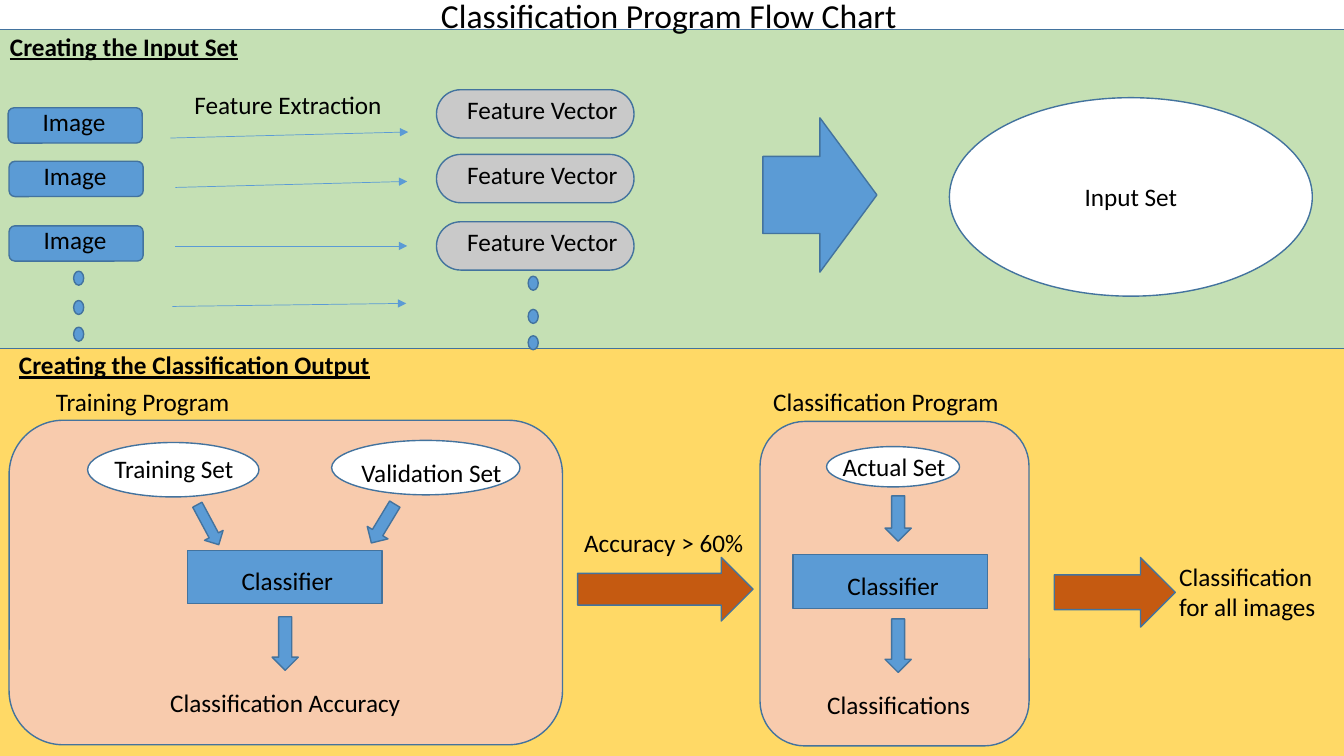
from lxml import etree
from pptx import Presentation
from pptx.dml.color import RGBColor
from pptx.enum import shapes, text
from pptx.oxml import ns
from pptx.util import Pt

COLORS = {
    "outline": "43739E", "blue": "5B9BD5", "green": "C5E0B4", "yellow": "FFD966",
    "peach": "F8CBAD", "orange": "C55A11", "gray": "C9C9C9", "white": "FFFFFF",
    "black": "000000",
}
KIND = shapes.MSO_SHAPE


def rgb(name):
    """Return the named colour."""
    return RGBColor.from_string(COLORS[name])


def add_block(slide, kind, box, fill, rotation=0, rounding=None):
    """Draw an outlined preset shape."""
    block = slide.shapes.add_shape(kind, *map(Pt, box))
    block.shadow.inherit = False
    block.fill.solid()
    block.fill.fore_color.rgb = rgb(fill)
    block.line.color.rgb = rgb("outline")
    block.line.width = Pt(1)
    block.rotation = rotation
    if rounding is not None:
        block.adjustments[0] = rounding


def add_label(slide, wording, left, top, width, height=28.8, size=18,
              centered=True, heading=False):
    """Write a wrapped label."""
    label = slide.shapes.add_textbox(*map(Pt, (left, top, width, height)))
    frame = label.text_frame
    frame.word_wrap = True
    frame.text = wording
    paragraph = frame.paragraphs[0]
    paragraph.alignment = text.PP_ALIGN.CENTER if centered else text.PP_ALIGN.LEFT
    font = paragraph.font
    font.name, font.size = "Calibri", Pt(size)
    font.color.rgb = rgb("black")
    if heading:
        font.bold = font.underline = True


def add_thin_arrow(slide, start, end):
    """Draw a thin line with a triangular head."""
    arrow = slide.shapes.add_connector(
        shapes.MSO_CONNECTOR.STRAIGHT, *map(Pt, start + end))
    arrow.line.color.rgb = rgb("blue")
    arrow.line.width = Pt(0.5)
    etree.SubElement(arrow.line._get_or_add_ln(), ns.qn("a:tailEnd"), type="triangle")
    etree.SubElement(arrow._element.spPr, ns.qn("a:effectLst"))


def add_dots(slide, left, tops):
    """Draw a column of continuation dots."""
    for top in tops:
        add_block(slide, KIND.OVAL, (left, top, 7.2, 10), "blue")


def add_classifier(slide, left, top):
    """Draw a classifier box with its label."""
    add_block(slide, KIND.RECTANGLE, (left, top, 139, 38.2), "blue")
    add_label(slide, "Classifier", left + 23.8, top + 7.5, 95)


def add_input_section(slide):
    """Draw the path from images to the input set."""
    add_label(slide, "Creating the Input Set", 0, 18.7, 203,
              centered=False, heading=True)
    for left, top in ((5.8, 77), (6.5, 115.2), (6.5, 161.3)):
        add_block(slide, KIND.ROUNDED_RECTANGLE, (left, top, 95.8, 25.2), "blue")
        add_label(slide, "Image", left + 8.6, top - 4.3, 77)
    add_label(slide, "Feature Extraction", 131.8, 60.5, 190, centered=False)
    for start, end in (((121.7, 98.6), (291.6, 94.3)),
                       ((125.3, 133.9), (290.9, 129.6)),
                       ((125.3, 175.7), (290.9, 175.7)),
                       ((123.1, 218.9), (290.2, 216.7))):
        add_thin_arrow(slide, start, end)
    for top in (64.1, 110.3, 158.4):
        add_block(slide, KIND.ROUNDED_RECTANGLE, (311.8, top, 141.1, 34.5),
                  "gray", rounding=0.5)
        add_label(slide, "Feature Vector", 322.6, top, 129.6)
    add_dots(slide, 52.6, (193.7, 214.6, 233.7))
    add_dots(slide, 377.3, (197.3, 221, 239.8))
    add_block(slide, KIND.RIGHT_ARROW, (545, 84.2, 81.4, 110.2), "blue")
    add_block(slide, KIND.OVAL, (678.2, 69.8, 259.2, 141.8), "white")
    add_label(slide, "Input Set", 730.8, 126, 154)


def add_training_program(slide):
    """Draw the training panel and its accuracy test."""
    add_label(slide, "Training Program", 18.7, 272.2, 166.3)
    add_block(slide, KIND.ROUNDED_RECTANGLE, (6.5, 300.2, 395.3, 231.8), "peach")
    add_block(slide, KIND.OVAL, (62.6, 316.1, 122.4, 38.9), "white")
    add_label(slide, "Training Set", 56.2, 320.4, 136)
    add_block(slide, KIND.OVAL, (236.9, 314.6, 134.6, 38.9), "white")
    add_label(slide, "Validation Set", 241.2, 323.3, 134)
    add_block(slide, KIND.DOWN_ARROW, (141.1, 358.6, 15.1, 32.4), "blue", 331.8)
    add_block(slide, KIND.DOWN_ARROW, (265, 357.8, 17.3, 32.4), "blue", 31.2)
    add_classifier(slide, 133.9, 393.1)
    add_block(slide, KIND.DOWN_ARROW, (194.4, 440.6, 18.7, 38.2), "blue")
    add_label(slide, "Classification Accuracy", 104.4, 487.4, 198.7)
    add_label(slide, "Accuracy > 60%", 403.2, 373, 141.8)
    add_block(slide, KIND.RIGHT_ARROW, (412.6, 398.2, 125.3, 45.4), "orange")


def add_classification_program(slide):
    """Draw the classification panel and its result."""
    add_label(slide, "Classification Program", 534.2, 272.2, 197.3)
    add_block(slide, KIND.ROUNDED_RECTANGLE, (542.9, 301, 192.2, 231.8), "peach")
    add_block(slide, KIND.OVAL, (590.4, 319, 95, 28.8), "white")
    add_label(slide, "Actual Set", 583.2, 319, 110.9)
    add_classifier(slide, 566.6, 396.3)
    for top, height in ((354.2, 32.4), (442.1, 38.2)):
        add_block(slide, KIND.DOWN_ARROW, (632.2, top, 18.7, height), "blue")
    add_label(slide, "Classifications", 571, 488.9, 141.8)
    add_block(slide, KIND.RIGHT_ARROW, (753.1, 398.2, 86.4, 49.7), "orange")
    add_label(slide, "Classification for all images", 835.2, 397.4, 113, 51.1,
              centered=False)


def main():
    """Build the flow chart slide."""
    deck = Presentation()
    deck.slide_width, deck.slide_height = Pt(960), Pt(540)
    slide = deck.slides.add_slide(deck.slide_layouts[6])
    add_block(slide, KIND.RECTANGLE, (-12.2, 242.6, 997.2, 314.6), "yellow")
    add_block(slide, KIND.RECTANGLE, (-12.2, 20.9, 1008, 228.2), "green")
    add_label(slide, "Classification Program Flow Chart", 199.4, -7.2, 556.6, 36,
              size=24)
    add_input_section(slide)
    add_label(slide, "Creating the Classification Output", 6.5, 246.2, 285.1,
              centered=False, heading=True)
    add_training_program(slide)
    add_classification_program(slide)
    deck.save("out.pptx")


main()
